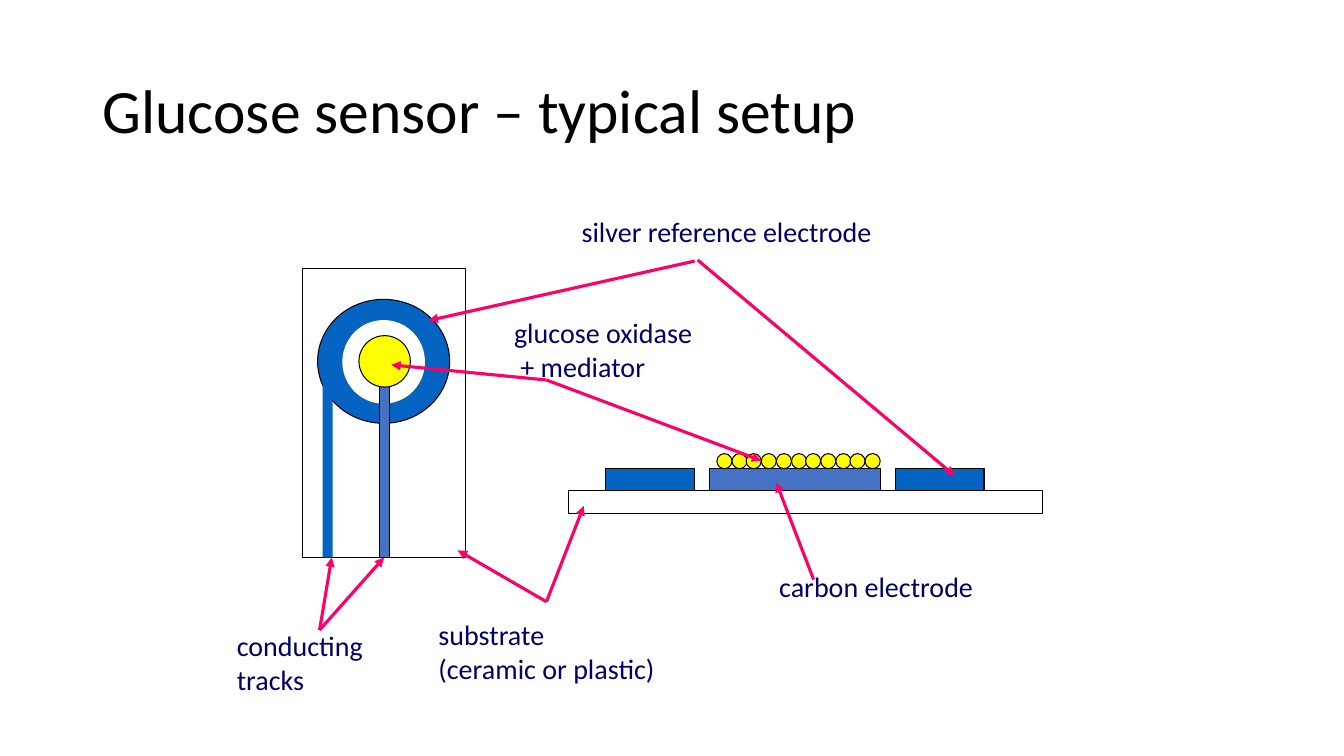
from lxml.etree import SubElement
from pptx import Presentation
from pptx.dml.color import RGBColor
from pptx.enum.shapes import MSO_CONNECTOR, MSO_SHAPE
from pptx.enum.text import MSO_ANCHOR
from pptx.oxml.ns import qn
from pptx.util import Pt

PX = 9144  # 100 px to the inch
SLIDE = (1333, 750)
BLACK, WHITE, CREAM, YELLOW = "000000", "FFFFFF", "FFFFCC", "FFFF00"
SILVER, CARBON, ARROW, LABEL = "0563C1", "4472C4", "FF0066", "000066"
RECT, OVAL = MSO_SHAPE.RECTANGLE, MSO_SHAPE.OVAL

# Content: left, top, width, height, then look
TITLE = ("Glucose sensor – typical setup", (92, 40, 1150, 145))
LABELS = [
    (["substrate", "(ceramic or plastic)"], (425, 608, 267, 77)),
    (["conducting", "tracks"], (225, 619, 158, 77)),
    (["carbon electrode"], (763, 560, 237, 44)),
    (["glucose oxidase", " + mediator"], (500, 308, 262, 77)),
    (["silver reference electrode"], (567, 208, 403, 44)),
]
TOP_VIEW = [
    (RECT, (300, 266, 162, 287), WHITE, BLACK),   # substrate
    (OVAL, (315, 297, 131, 123), SILVER, BLACK),  # reference ring
    (OVAL, (340, 318, 81, 82), WHITE, CREAM),     # gap in the ring
    (RECT, (376, 379, 10, 174), CARBON, BLACK),   # carbon track
    (OVAL, (356, 333, 51, 51), YELLOW, BLACK),    # enzyme spot
    (RECT, (320, 379, 10, 174), SILVER, None),    # silver track
]
BEAD_COUNT, BEAD_SIZE, BEAD_TOP = 11, 15, 450
BEAD_FIRST, BEAD_LAST = 711, 858
BEADS = [
    (OVAL, (BEAD_FIRST + round(i * (BEAD_LAST - BEAD_FIRST) / (BEAD_COUNT - 1)),
            BEAD_TOP, BEAD_SIZE, BEAD_SIZE), YELLOW, BLACK)
    for i in range(BEAD_COUNT)
]
SIDE_VIEW = [
    (RECT, (704, 465, 169, 22), CARBON, BLACK),
    *BEADS,
    (RECT, (888, 465, 88, 22), SILVER, BLACK),
    (RECT, (601, 465, 88, 22), SILVER, BLACK),
    (RECT, (564, 487, 470, 22), WHITE, BLACK),
]
ARROWS = [  # start at the label, tip at the part
    ((542, 597), (454, 546)),
    ((542, 597), (579, 502)),
    ((317, 625), (381, 553)),
    ((542, 377), (388, 362)),
    ((317, 625), (329, 553)),
    ((542, 377), (755, 457)),
    ((689, 259), (425, 318)),
    ((692, 258), (947, 472)),
    ((807, 575), (770, 479)),
]


def color(value):
    return RGBColor.from_string(value)


def emu(lengths):
    return [length * PX for length in lengths]


def add_part(group, kind, place, fill, line):
    part = group.shapes.add_shape(kind, *emu(place))
    part.shadow.inherit = False
    part.fill.solid()
    part.fill.fore_color.rgb = color(fill)
    if line:
        part.line.color.rgb = color(line)
        part.line.width = Pt(0.75)
    else:
        part.line.fill.background()


def add_arrow(page, start, tip):
    arrow = page.shapes.add_connector(MSO_CONNECTOR.STRAIGHT, *emu(start + tip))
    arrow.line.color.rgb = color(ARROW)
    arrow.line.width = Pt(2.25)
    SubElement(arrow.line._get_or_add_ln(), qn("a:tailEnd"), type="triangle")
    SubElement(arrow._element.spPr, qn("a:effectLst"))


def add_text(page, lines, place, size, ink, **paragraph_format):
    box = page.shapes.add_textbox(*emu(place))
    frame = box.text_frame
    frame.word_wrap = True
    for index, line in enumerate(lines):
        para = frame.paragraphs[0] if index == 0 else frame.add_paragraph()
        for name, value in paragraph_format.items():
            setattr(para, name, value)
        span = para.add_run()
        span.text = line
        for name, value in {"name": "Calibri", "size": Pt(size)}.items():
            setattr(span.font, name, value)
        span.font.color.rgb = color(ink)
    return frame


def main():
    deck = Presentation()
    deck.slide_width, deck.slide_height = emu(SLIDE)
    page = deck.slides.add_slide(deck.slide_layouts[6])

    # Title
    text, place = TITLE
    frame = add_text(page, [text], place, 44, BLACK, line_spacing=0.9)
    frame.vertical_anchor = MSO_ANCHOR.MIDDLE

    # Sensor from above and from the side
    for view in (TOP_VIEW, SIDE_VIEW):
        group = page.shapes.add_group_shape()
        for part in view:
            add_part(group, *part)

    # Arrows and labels
    for start, tip in ARROWS:
        add_arrow(page, start, tip)
    for lines, place in LABELS:
        add_text(page, lines, place, 20, LABEL)

    deck.save("out.pptx")


if __name__ == "__main__":
    main()
